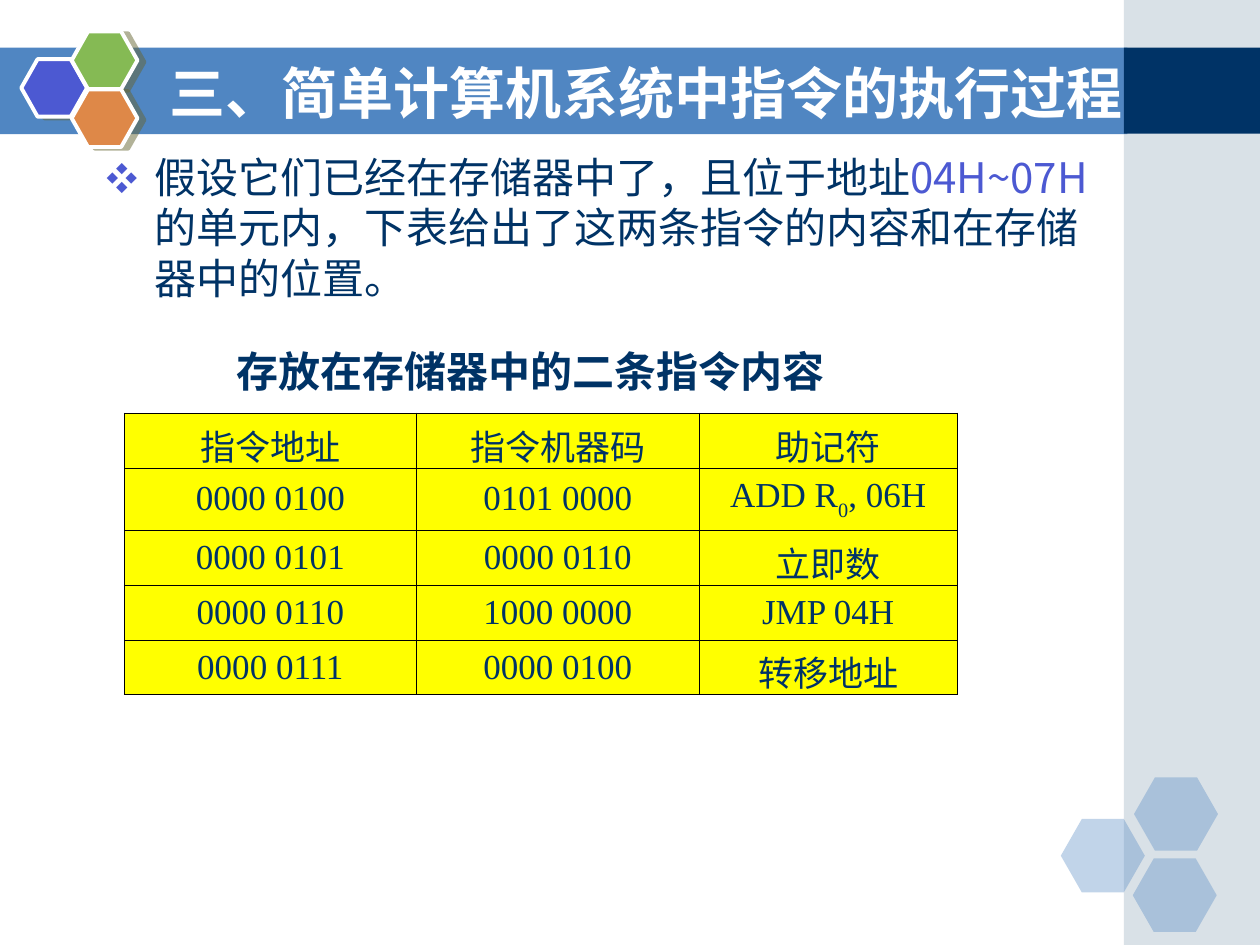
from lxml import etree
from pptx import Presentation
from pptx.dml.color import RGBColor
from pptx.enum.shapes import MSO_SHAPE
from pptx.enum.text import MSO_ANCHOR, PP_ALIGN
from pptx.oxml import parse_xml
from pptx.oxml.ns import nsdecls, qn
from pptx.util import Pt

RECTANGLE, HEXAGON = MSO_SHAPE.RECTANGLE, MSO_SHAPE.HEXAGON
MIDDLE, CENTER = MSO_ANCHOR.MIDDLE, PP_ALIGN.CENTER
NAVY = RGBColor(0x00, 0x33, 0x66)
BLUE = RGBColor(0x50, 0x86, 0xC2)
MIST = RGBColor(0xA0, 0xB5, 0xC4)
VIOLET = RGBColor(0x4C, 0x59, 0xD2)
GREEN = RGBColor(0x85, 0xBA, 0x54)
ORANGE = RGBColor(0xDE, 0x88, 0x48)
OLIVE = RGBColor(0x66, 0x66, 0x33)
WHITE = RGBColor(0xFF, 0xFF, 0xFF)
YELLOW = RGBColor(0xFF, 0xFF, 0x00)
BLACK = RGBColor(0x00, 0x00, 0x00)
SANS, SERIF = "Noto Sans CJK SC", "Times New Roman"

TITLE = "三、简单计算机系统中指令的执行过程"
BODY = [
    ("假设它们已经在存储器中了，且位于地址", NAVY),
    ("04H~07H", VIOLET),
    ("的单元内，下表给出了这两条指令的内容和在存储器中的位置。", NAVY),
]
CAPTION = "存放在存储器中的二条指令内容"
ROWS = [
    ("指令地址", "指令机器码", "助记符"),
    ("0000 0100", "0101 0000", ("ADD R", "0", ", 06H")),
    ("0000 0101", "0000 0110", "立即数"),
    ("0000 0110", "1000 0000", "JMP 04H"),
    ("0000 0111", "0000 0100", "转移地址"),
]
COLUMN_WIDTHS = (167, 161.5, 147.5)
ROW_HEIGHTS = (31.4, 35.5, 31.4, 31.4, 31.4)
FADED_HEXAGONS = [(606.2, 468), (648, 444.2), (647.3, 490.6)]
EMBLEM_HEXAGONS = [(12.2, 33.8, VIOLET), (41, 18, GREEN), (41, 51.1, ORANGE)]


def add_shape(slide, kind, left, top, width, height, color, opacity=100):
    shape = slide.shapes.add_shape(kind, Pt(left), Pt(top), Pt(width), Pt(height))
    shape.shadow.inherit = False
    shape.fill.solid()
    shape.fill.fore_color.rgb = color
    shape.line.fill.background()
    if opacity < 100:
        color_element = shape._element.spPr.find(".//" + qn("a:srgbClr"))
        etree.SubElement(color_element, qn("a:alpha"), val=str(opacity * 1000))
    return shape


def add_emblem_hexagon(slide, left, top, color):
    shape = add_shape(slide, HEXAGON, left, top, 37.6, 32.9, color)
    shape.adjustments[0] = 0.283
    shape.line.color.rgb = WHITE
    shape.line.width = Pt(2.25)
    effects = shape._element.spPr.find(qn("a:effectLst"))
    effects.append(parse_xml(
        f'<a:outerShdw {nsdecls("a")} blurRad="0" dist="{Pt(4.1)}" dir="{14 * 60000}" '
        f'algn="ctr" rotWithShape="0"><a:srgbClr val="{OLIVE}"><a:alpha val="50000"/>'
        '</a:srgbClr></a:outerShdw>'))


def style_font(paragraph, size, name, color, bold=False):
    font = paragraph.font
    font.size, font.name, font.bold = Pt(size), name, bold
    font.color.rgb = color
    for run in paragraph.runs:
        properties = run._r.get_or_add_rPr()
        etree.SubElement(properties, qn("a:ea"), typeface=SANS)


def add_text(slide, left, top, width, height, runs, size, name, bold=False):
    box = slide.shapes.add_textbox(Pt(left), Pt(top), Pt(width), Pt(height))
    box.text_frame.word_wrap = True
    paragraph = box.text_frame.paragraphs[0]
    for text, color in runs:
        run = paragraph.add_run()
        run.text = text
        run.font.color.rgb = color
    style_font(paragraph, size, name, runs[0][1], bold)
    return box.text_frame


def add_bullet(paragraph, character, color, indent):
    properties = paragraph._p.get_or_add_pPr()
    properties.set("marL", str(Pt(indent)))
    properties.set("indent", str(-Pt(indent)))
    bullet = (f'<a:buClr {nsdecls("a")}><a:srgbClr val="{color}"/></a:buClr>',
              f'<a:buSzPct {nsdecls("a")} val="75000"/>',
              f'<a:buFont {nsdecls("a")} typeface="{SANS}"/>',
              f'<a:buChar {nsdecls("a")} char="{character}"/>')
    for position, xml in enumerate(bullet):
        properties.insert(position, parse_xml(xml))


def fill_cell(cell, content):
    cell.fill.solid()
    cell.fill.fore_color.rgb = YELLOW
    cell.vertical_anchor = MIDDLE
    paragraph = cell.text_frame.paragraphs[0]
    paragraph.alignment = CENTER
    parts = (content,) if isinstance(content, str) else content
    for position, text in enumerate(parts):
        run = paragraph.add_run()
        run.text = text
        if position == 1:
            run._r.get_or_add_rPr().set("baseline", "-30000")
    style_font(paragraph, 20, SERIF, NAVY)
    properties = cell._tc.get_or_add_tcPr()
    for position, side in enumerate(("lnL", "lnR", "lnT", "lnB")):
        properties.insert(position, parse_xml(
            f'<a:{side} {nsdecls("a")} w="{Pt(0.45)}"><a:solidFill>'
            f'<a:srgbClr val="{BLACK}"/></a:solidFill></a:{side}>'))


def add_instruction_table(slide):
    table = slide.shapes.add_table(
        len(ROWS), len(COLUMN_WIDTHS), Pt(71), Pt(236),
        Pt(sum(COLUMN_WIDTHS)), Pt(sum(ROW_HEIGHTS))).table
    for column, width in zip(table.columns, COLUMN_WIDTHS):
        column.width = Pt(width)
    for row, height, contents in zip(table.rows, ROW_HEIGHTS, ROWS):
        row.height = Pt(height)
        for cell, content in zip(row.cells, contents):
            fill_cell(cell, content)


def main():
    presentation = Presentation()
    presentation.slide_width, presentation.slide_height = Pt(720), Pt(540)
    slide = presentation.slides.add_slide(presentation.slide_layouts[6])

    add_shape(slide, RECTANGLE, -0.7, 27.2, 645, 49.4, BLUE)
    add_shape(slide, RECTANGLE, 642.2, 0, 77.8, 540, MIST, 40)
    add_shape(slide, RECTANGLE, 642.2, 27.2, 77.8, 49.2, NAVY)
    for left, top in FADED_HEXAGONS:
        hexagon = add_shape(slide, HEXAGON, left, top, 48, 42, BLUE, 35)
        hexagon.adjustments[0] = 0.286
    for left, top, color in EMBLEM_HEXAGONS:
        add_emblem_hexagon(slide, left, top, color)

    body = add_text(slide, 54, 83, 590, 170, BODY, 24, SANS)
    add_bullet(body.paragraphs[0], "❖", VIOLET, 27)
    caption = add_text(slide, 123, 193.7, 360, 36, [(CAPTION, NAVY)], 24, SERIF, True)
    caption.vertical_anchor = MIDDLE
    caption.paragraphs[0].alignment = CENTER
    add_instruction_table(slide)
    title = add_text(slide, 90, 30.2, 602, 44.6, [(TITLE, WHITE)], 32, SANS, True)
    title.vertical_anchor = MIDDLE
    presentation.save("out.pptx")


if __name__ == "__main__":
    main()
